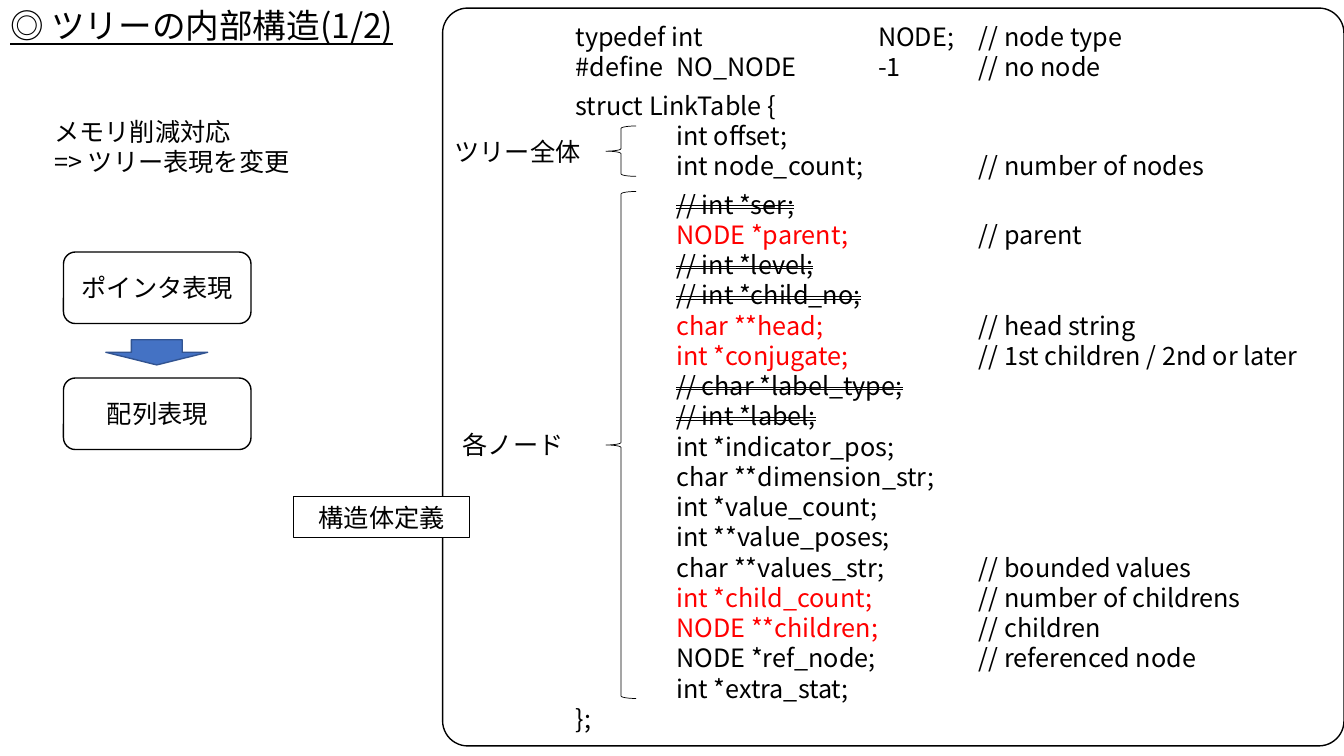
from lxml import etree
from pptx import Presentation
from pptx.dml.color import RGBColor
from pptx.enum.shapes import MSO_SHAPE
from pptx.enum.text import MSO_ANCHOR, MSO_AUTO_SIZE, PP_ALIGN
from pptx.oxml.ns import qn
from pptx.util import Inches, Pt

FONT = "Noto Sans CJK JP"
BLACK = RGBColor(0x00, 0x00, 0x00)
WHITE = RGBColor(0xFF, 0xFF, 0xFF)
RED = RGBColor(0xFF, 0x00, 0x00)
BLUE = RGBColor(0x44, 0x72, 0xC4)
DARK_BLUE = RGBColor(0x32, 0x54, 0x91)
ROUNDED, RECTANGLE = MSO_SHAPE.ROUNDED_RECTANGLE, MSO_SHAPE.RECTANGLE
BRACE, ARROW = MSO_SHAPE.LEFT_BRACE, MSO_SHAPE.DOWN_ARROW
TOP, MIDDLE = MSO_ANCHOR.TOP, MSO_ANCHOR.MIDDLE
LEFT, CENTER = PP_ALIGN.LEFT, PP_ALIGN.CENTER
NO_FIT = MSO_AUTO_SIZE.NONE
LINE_RATIO = 1.2

KEPT, CHANGED, REMOVED = "kept", "changed", "removed"
DEFINITIONS = [
    "typedef int\tNODE;\t// node type",
    "#define\tNO_NODE\t-1\t// no node",
]
TREE_FIELDS = [
    (KEPT, "int offset;", ""),
    (KEPT, "int node_count;", "// number of nodes"),
]
NODE_FIELDS = [
    (REMOVED, "// int *ser;", ""),
    (CHANGED, "NODE *parent;", "// parent"),
    (REMOVED, "// int *level;", ""),
    (REMOVED, "// int *child_no;", ""),
    (CHANGED, "char **head;", "// head string"),
    (CHANGED, "int *conjugate;", "// 1st children / 2nd or later"),
    (REMOVED, "// char *label_type;", ""),
    (REMOVED, "// int *label;", ""),
    (KEPT, "int *indicator_pos;", ""),
    (KEPT, "char **dimension_str;", ""),
    (KEPT, "int *value_count;", ""),
    (KEPT, "int **value_poses;", ""),
    (KEPT, "char **values_str;", "// bounded values"),
    (CHANGED, "int *child_count;", "// number of childrens"),
    (CHANGED, "NODE **children;", "// children"),
    (KEPT, "NODE *ref_node;", "// referenced node"),
    (KEPT, "int *extra_stat;", ""),
]


def add_span(para, text, size=18, color=BLACK):
    """Append a formatted run and return it."""
    span = para.add_run()
    span.text = text
    span.font.name = FONT
    span.font.size = Pt(size)
    span.font.color.rgb = color
    etree.SubElement(span.font._element, qn("a:ea"), typeface=FONT)
    para.line_spacing = Pt(size * LINE_RATIO)
    return span


def set_tabs(para, stops):
    """Give a paragraph left tab stops, in inches."""
    tabs = etree.SubElement(para._p.get_or_add_pPr(), qn("a:tabLst"))
    for stop in stops:
        etree.SubElement(tabs, qn("a:tab"), pos=str(Inches(stop)), algn="l")


def next_para(frame):
    """Return the empty first paragraph, or a new one."""
    first = frame.paragraphs[0]
    return frame.add_paragraph() if first.runs else first


def write_lines(frame, lines, align=LEFT, anchor=TOP):
    """Write plain lines into a text frame."""
    frame.word_wrap = True
    frame.vertical_anchor = anchor
    for line in lines:
        para = next_para(frame)
        para.alignment = align
        add_span(para, line)


def add_text(page, left, top, width, height, lines):
    """Add a wrapping text box and return its frame."""
    box = page.shapes.add_textbox(Inches(left), Inches(top), Inches(width), Inches(height))
    write_lines(box.text_frame, lines)
    return box.text_frame


def add_box(page, kind, left, top, width, height, weight=1, fill=WHITE, line=BLACK):
    """Add a flat preset shape; a fill of None leaves it open."""
    box = page.shapes.add_shape(kind, Inches(left), Inches(top), Inches(width), Inches(height))
    box.shadow.inherit = False
    if fill is None:
        box.fill.background()
    else:
        box.fill.solid()
        box.fill.fore_color.rgb = fill
    box.line.color.rgb = line
    box.line.width = Pt(weight)
    return box


def add_title(page, text):
    """Place the underlined title at the top left."""
    title = page.shapes.title
    title.left, title.top, title.width, title.height = 0, 0, Inches(6.67), Inches(0.5)
    frame = title.text_frame
    frame.auto_size = NO_FIT
    frame.vertical_anchor = TOP
    frame.paragraphs[0].alignment = LEFT
    add_span(frame.paragraphs[0], text, 24).font.underline = True


def add_field(frame, state, declaration, comment):
    """Append one struct member, styled by its state."""
    para = next_para(frame)
    add_span(para, "\t")
    span = add_span(para, declaration, color=RED if state == CHANGED else BLACK)
    if state == REMOVED:
        span.font._element.set("strike", "dblStrike")
    if comment:
        add_span(para, "\t" + comment)
    set_tabs(para, (1, 4))
    return para


def add_code(page, left, top, width, height):
    """Write the struct definition in the given box."""
    frame = add_text(page, left, top, width, height, DEFINITIONS)
    frame.paragraphs[-1].space_after = Pt(6)
    for para in frame.paragraphs:
        set_tabs(para, (1, 3, 4))
    write_lines(frame, ["struct LinkTable {"])
    for field in TREE_FIELDS:
        para = add_field(frame, *field)
    para.space_after = Pt(6)
    for field in NODE_FIELDS:
        add_field(frame, *field)
    write_lines(frame, ["};"])


def add_struct_panel(page, left, top, width, height):
    """Draw the code panel with its braces and labels."""
    panel = add_box(page, ROUNDED, left, top, width, height)
    panel.adjustments[0] = 0.034
    add_code(page, left + 1.22, top + 0.08, 7.62, height - 0.08)
    groups = [("ツリー全体", 0.02, 1.17, 0.5), ("各ノード", 0.1, 1.82, 5.03)]
    for label, indent, offset, span_height in groups:
        add_box(page, BRACE, left + 1.62, top + offset, 0.3, span_height, 0.5, None)
        middle = top + offset + span_height / 2
        add_text(page, left + indent, middle - 0.2, 1.75, 0.4, [label])
    caption = add_box(page, RECTANGLE, left - 1.48, top + 4.85, 1.75, 0.4, 0.75)
    write_lines(caption.text_frame, ["構造体定義"], CENTER)


def add_change(page, left, top, width, height):
    """Explain the change of tree representation."""
    add_text(page, left, top, width, height, ["メモリ削減対応", "=> ツリー表現を変更"])
    for row, name in enumerate(["ポインタ表現", "配列表現"]):
        step = add_box(page, ROUNDED, left + 0.19, top + 1.4 + 1.25 * row, 1.86, 0.71)
        write_lines(step.text_frame, [name], CENTER, MIDDLE)
    add_box(page, ARROW, left + 0.61, top + 2.27, 1.01, 0.25, 1, BLUE, DARK_BLUE)


def main():
    """Build and save the deck."""
    deck = Presentation()
    deck.slide_width, deck.slide_height = Inches(13.33), Inches(7.5)
    page = deck.slides.add_slide(deck.slide_layouts[5])
    add_title(page, "◎ ツリーの内部構造(1/2)")
    add_struct_panel(page, 4.39, 0.08, 8.94, 7.32)
    add_change(page, 0.44, 1.1, 2.88, 0.71)
    deck.save("out.pptx")


if __name__ == "__main__":
    main()
